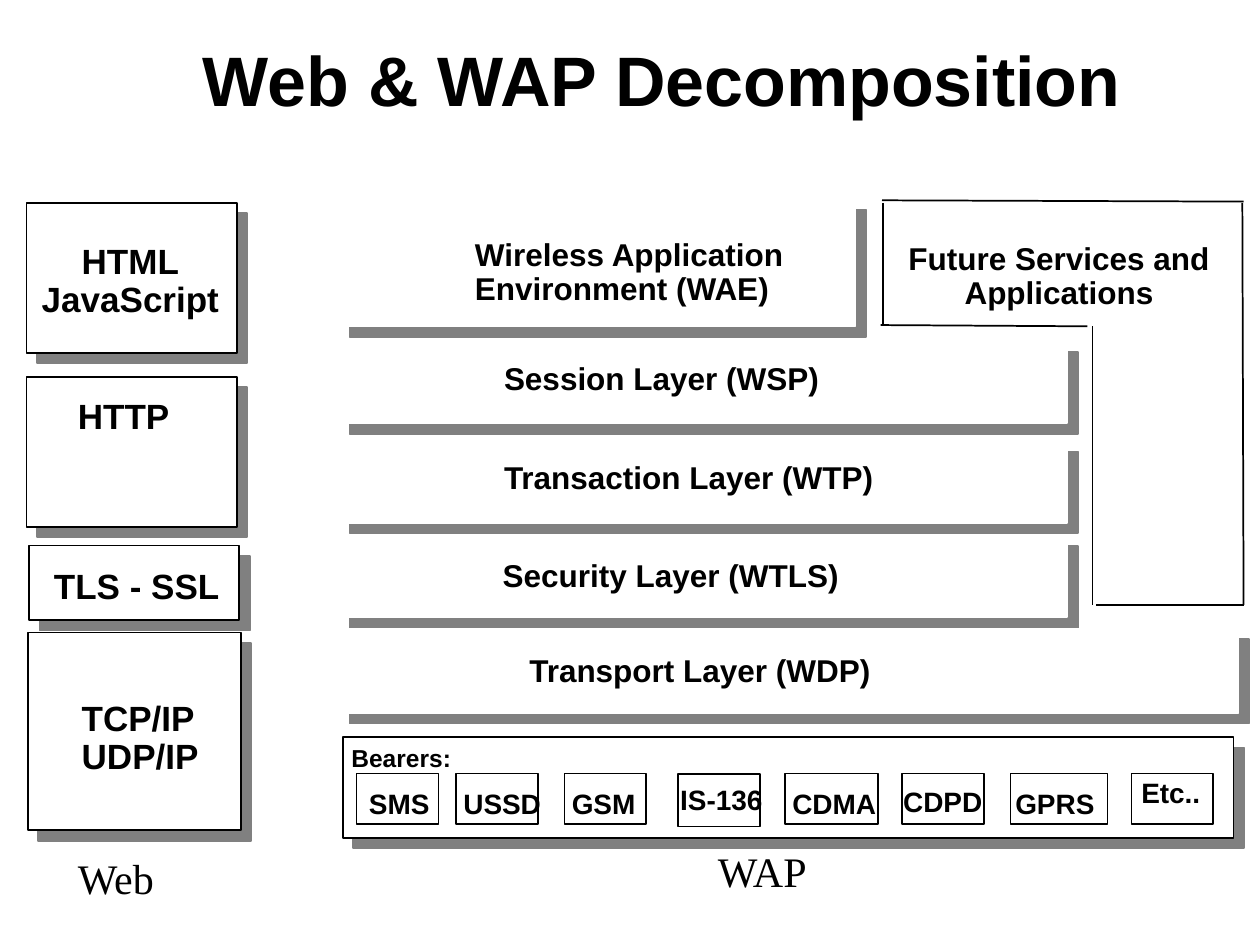
from lxml.etree import SubElement
from pptx import Presentation
from pptx.dml.color import RGBColor
from pptx.enum.shapes import MSO_CONNECTOR as Link, MSO_SHAPE as Preset
from pptx.enum.text import MSO_ANCHOR as Anchor, MSO_AUTO_SIZE as Fit, PP_ALIGN as Align
from pptx.oxml.ns import qn
from pptx.util import Inches, Pt

BLACK = RGBColor(0x00, 0x00, 0x00)
WHITE = RGBColor(0xFF, 0xFF, 0xFF)
GREY = RGBColor(0x80, 0x80, 0x80)

# Left, top, width and height of each box in the web stack
WEB_BOXES = [
    (0.21, 1.61, 1.67, 1.19),
    (0.21, 2.99, 1.67, 1.19),
    (0.23, 4.33, 1.67, 0.59),
    (0.22, 5.02, 1.69, 1.57),
]
WEB_LABELS = [
    ("HTML\nJavaScript", (0.23, 1.89, 1.61, 0.7), Align.CENTER),
    ("HTTP", (0.52, 3.12, 0.93, 0.4), Align.LEFT),
    ("TLS - SSL", (0.33, 4.47, 1.56, 0.4), Align.LEFT),
    ("TCP/IP\nUDP/IP", (0.55, 5.52, 1.15, 0.7), Align.LEFT),
]
# Bar top, label place, label text
LAYERS = [
    (2.71, (3.89, 2.83, 2.75, 0.38), "Session Layer (WSP)"),
    (3.5, (3.89, 3.62, 3.19, 0.38), "Transaction Layer (WTP)"),
    (4.25, (3.88, 4.4, 2.92, 0.38), "Security Layer (WTLS)"),
]
# Box left, box width, box height, text left, text top, text width, text
BEARERS = [
    (2.83, 0.65, 0.4, 2.83, 6.22, 0.72, "SMS"),
    (3.62, 0.65, 0.4, 3.58, 6.22, 0.86, "USSD"),
    (4.48, 0.65, 0.4, 4.44, 6.22, 0.76, "GSM"),
    (5.38, 0.65, 0.42, 5.3, 6.19, 0.88, "IS-136"),
    (6.23, 0.74, 0.4, 6.19, 6.22, 0.92, "CDMA"),
    (7.16, 0.65, 0.4, 7.07, 6.21, 0.87, "CDPD"),
    (8.02, 0.77, 0.4, 7.96, 6.22, 0.87, "GPRS"),
    (8.98, 0.65, 0.4, 8.96, 6.14, 0.7, "Etc.."),
]
FUTURE_EDGES = [
    (7, 1.59, 9.87, 1.6),
    (7.01, 1.61, 7.01, 2.59),
    (6.99, 2.58, 8.63, 2.59),
    (8.67, 2.59, 8.67, 4.8),
    (8.7, 4.8, 9.87, 4.8),
    (9.87, 4.8, 9.86, 1.61),
]


def inches(values):
    return [Inches(value) for value in values]


def cast(shape):
    """Give the shape a solid grey shadow to the lower right."""
    effects = shape._element.spPr.find(qn("a:effectLst"))
    shadow = SubElement(effects, qn("a:outerShdw"), dist=str(Pt(8.5)),
                        dir="2700000", algn="ctr", rotWithShape="0")
    SubElement(shadow, qn("a:srgbClr"), val=str(GREY))


def box(shapes, place, edge=BLACK, raised=False):
    shape = shapes.add_shape(Preset.RECTANGLE, *inches(place))
    shape.shadow.inherit = False
    shape.fill.solid()
    shape.fill.fore_color.rgb = WHITE
    if edge is None:
        shape.line.fill.background()
    else:
        shape.line.color.rgb = edge
        shape.line.width = Pt(1)
    if raised:
        cast(shape)
    return shape


def write(shape, text, size=18, bold=True, face="Arial", align=Align.LEFT,
          spacing=0.9, inset=0.1, wrap=False, anchor=Anchor.TOP, fit=Fit.SHAPE_TO_FIT_TEXT):
    frame = shape.text_frame
    frame.text = text
    frame.word_wrap = wrap
    frame.auto_size = fit
    frame.vertical_anchor = anchor
    frame.margin_left = frame.margin_right = Inches(inset)
    frame.margin_top = frame.margin_bottom = Inches(0.05)
    for para in frame.paragraphs:
        para.alignment = align
        para.line_spacing = spacing
        for run in para.runs:
            run.font.name = face
            run.font.size = Pt(size)
            run.font.bold = bold
            run.font.color.rgb = BLACK


def label(shapes, place, text, **style):
    write(shapes.add_textbox(*inches(place)), text, **style)


def edge(shapes, ends):
    line = shapes.add_connector(Link.STRAIGHT, *inches(ends))
    line.line.color.rgb = BLACK
    line.line.width = Pt(1)
    SubElement(line._element.spPr, qn("a:effectLst"))


def add_title(slide):
    title = slide.shapes.title
    title.left, title.top, title.width, title.height = inches((1, 0, 8.5, 1.25))
    write(title, "Web & WAP Decomposition", size=40, align=Align.CENTER,
          spacing=1, wrap=True, anchor=Anchor.MIDDLE, fit=Fit.NONE)


def add_web(shapes):
    for place in WEB_BOXES:
        box(shapes, place, raised=True)
    for text, place, align in WEB_LABELS:
        label(shapes, place, text, size=20, align=align)


def add_layers(shapes):
    box(shapes, (2.69, 1.58, 4.1, 1.01), WHITE, raised=True)
    label(shapes, (3.66, 1.85, 2.72, 0.65),
          "Wireless Application\vEnvironment (WAE)", inset=0.11)
    for top, place, text in LAYERS:
        group = shapes.add_group_shape().shapes
        box(group, (2.69, top, 5.78, 0.65), WHITE, raised=True)
        write(box(group, place, WHITE), text, inset=0.11)
    box(shapes, (2.69, 4.99, 7.14, 0.67), WHITE, raised=True)
    write(box(shapes, (3.88, 5.15, 3.35, 0.38), WHITE), "Transport Layer (WDP)",
          align=Align.CENTER, inset=0.11, wrap=True)


def add_future(shapes):
    for ends in FUTURE_EDGES:
        edge(shapes, ends)
    write(box(shapes, (7.1, 1.88, 2.61, 0.65), None),
          "Future Services and\nApplications", align=Align.CENTER, inset=0.11)


def add_bearers(shapes):
    box(shapes, (2.72, 5.85, 7.07, 0.8), raised=True)
    for left, width, height, *_ in BEARERS:
        box(shapes, (left, 6.14, width, height))
    for *_, left, top, width, text in BEARERS:
        label(shapes, (left, top, width, 0.34), text, size=16)
    label(shapes, (2.69, 5.87, 1.02, 0.31), "Bearers:", size=14)


def add_names(shapes):
    for text, place in (("Web", (0.52, 6.72, 0.83, 0.5)), ("WAP", (5.6, 6.66, 0.94, 0.5))):
        label(shapes, place, text, size=24, bold=False, face="Times New Roman", spacing=1)


def main():
    deck = Presentation()
    deck.slide_width, deck.slide_height = Inches(10), Inches(7.5)
    slide = deck.slides.add_slide(deck.slide_layouts[5])
    add_title(slide)
    for add in (add_web, add_layers, add_future, add_bearers, add_names):
        add(slide.shapes)
    deck.save("out.pptx")


if __name__ == "__main__":
    main()
